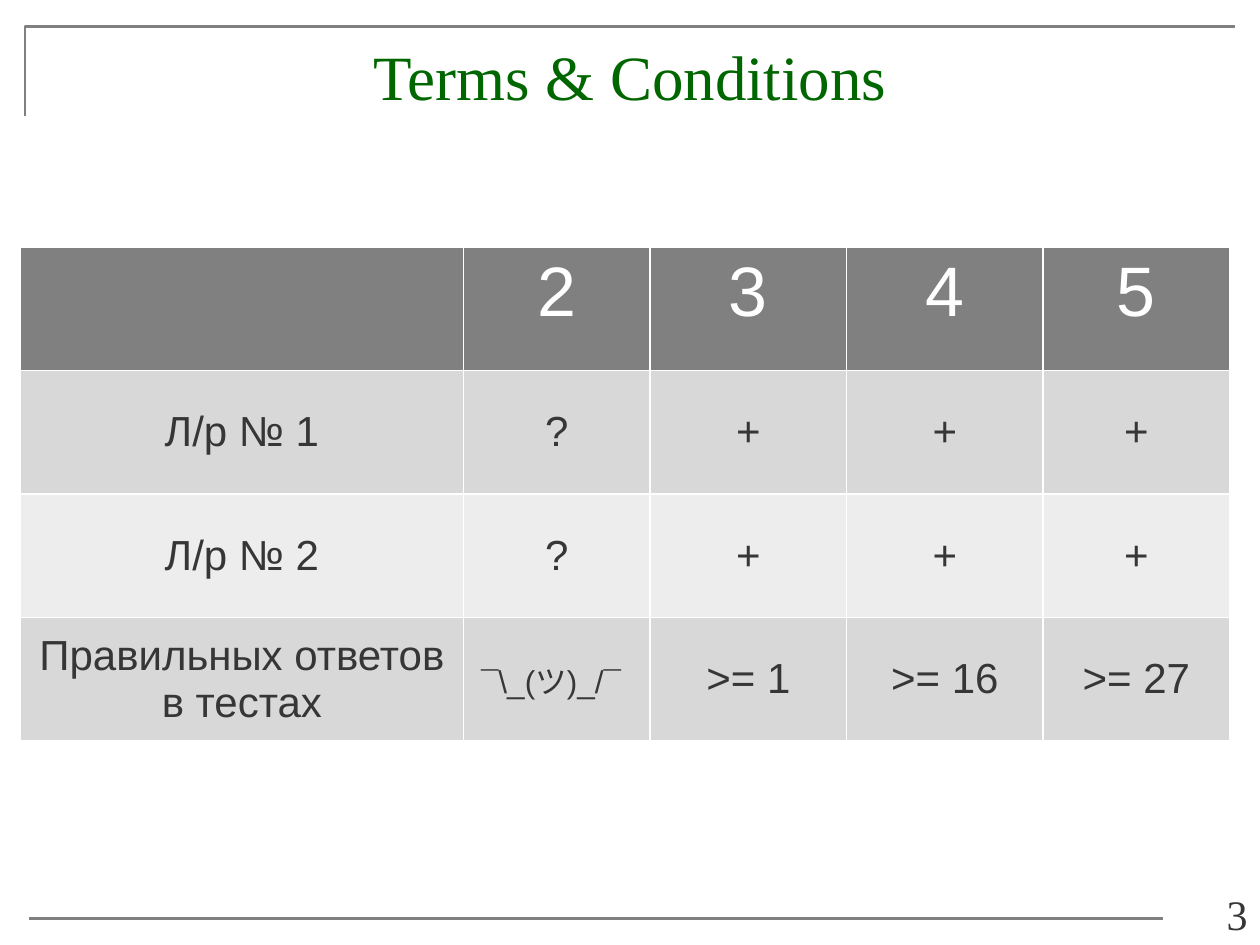
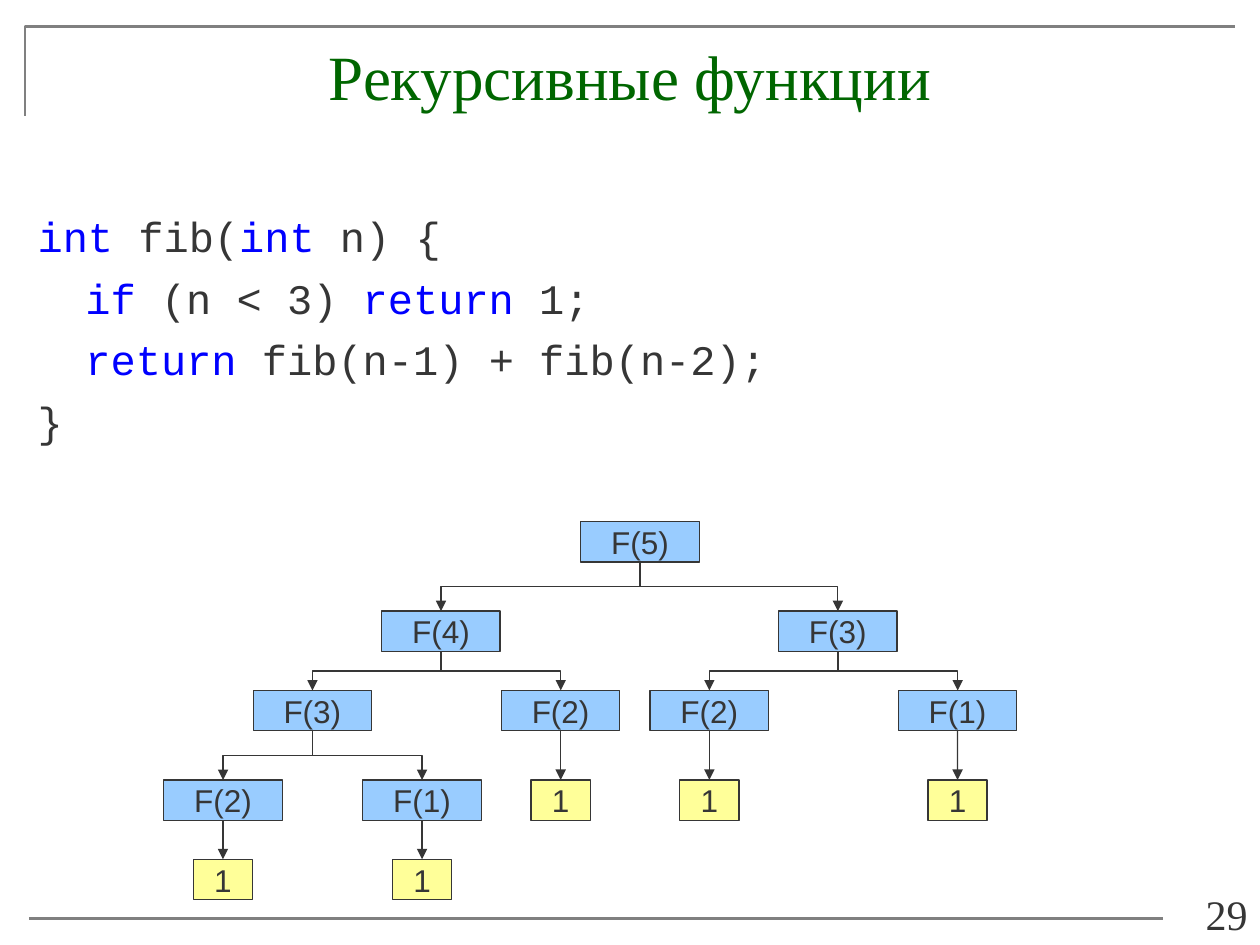
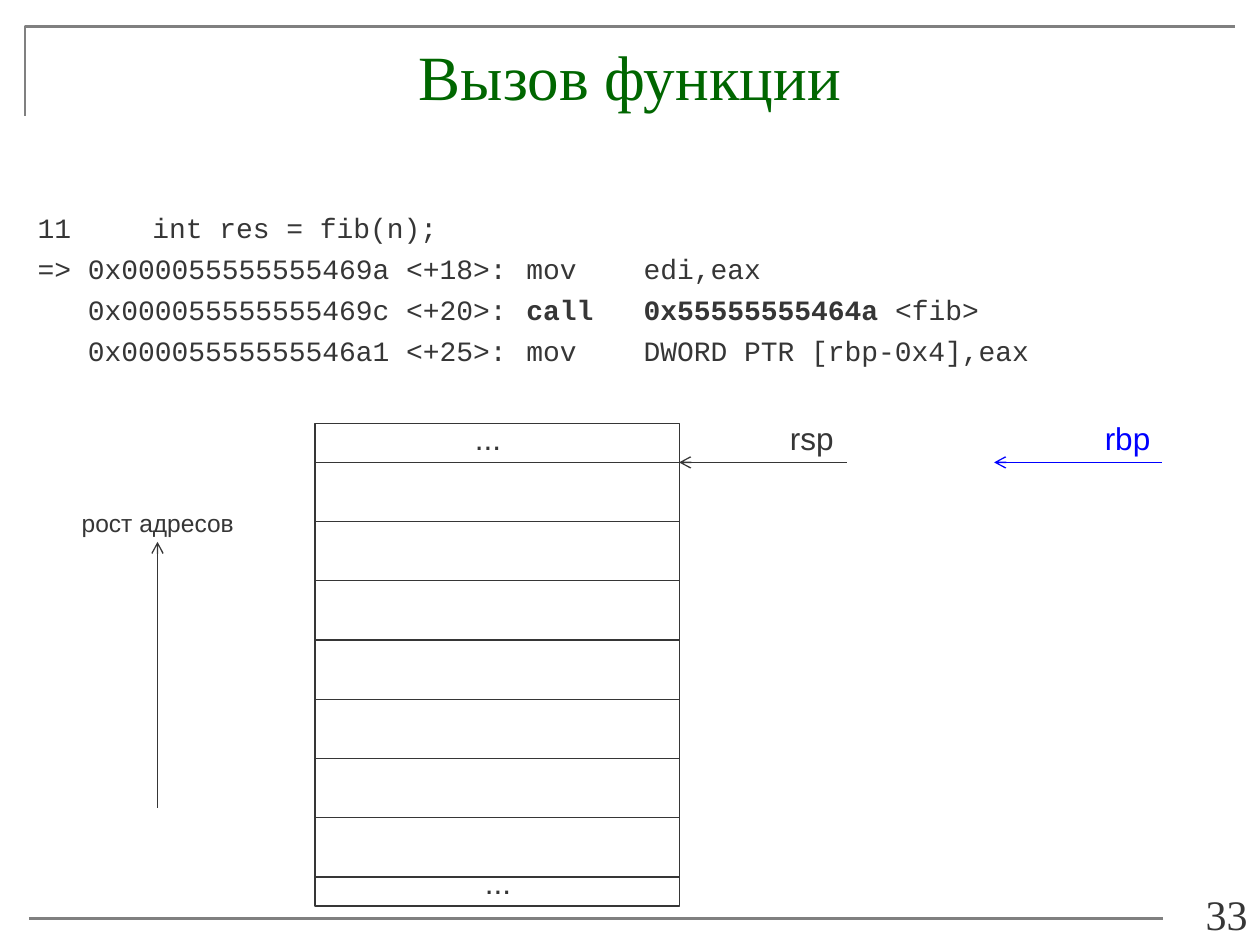
from lxml import etree
from pptx import Presentation
from pptx.dml.color import RGBColor
from pptx.enum.shapes import MSO_CONNECTOR, MSO_SHAPE
from pptx.enum.text import MSO_ANCHOR, PP_ALIGN
from pptx.oxml.ns import qn
from pptx.util import Inches, Pt

STRAIGHT, ELBOW = MSO_CONNECTOR.STRAIGHT, MSO_CONNECTOR.ELBOW
RECT, PROCESS = MSO_SHAPE.RECTANGLE, MSO_SHAPE.FLOWCHART_PROCESS
CENTER, RIGHT = PP_ALIGN.CENTER, PP_ALIGN.RIGHT
MIDDLE, BOTTOM = MSO_ANCHOR.MIDDLE, MSO_ANCHOR.BOTTOM
SANS, SERIF, MONO = "Arial", "Times New Roman", "Courier New"
C = {"ink": "363636", "title": "006600", "rule": "808080", "keyword": "0000FF",
     "white": "FFFFFF", "band_dark": "D8D8D8", "band_light": "EDEDED",
     "call": "99CCFF", "result": "FFFF99"}


def write(p, text, size, font=SANS, color="ink", bold=False):
    r = p.add_run()
    r.text = text
    r.font.size = Pt(size)
    r.font.name = font
    r.font.bold = bold
    r.font.color.rgb = RGBColor.from_string(C[color])


def add_line(s, kind, x1, y1, x2, y2, color="ink", width=0.75, head=None):
    ln = s.shapes.add_connector(kind, Inches(x1), Inches(y1), Inches(x2), Inches(y2))
    ln.line.color.rgb = RGBColor.from_string(C[color])
    ln.line.width = Pt(width)
    if head:
        etree.SubElement(ln.line._get_or_add_ln(), qn("a:tailEnd"), type=head)
    etree.SubElement(ln._element.spPr, qn("a:effectLst"))
    return ln


prs = Presentation()
prs.slide_width, prs.slide_height = Inches(10), Inches(7.5)

slides = []
for title, number in [("Terms & Conditions", "3"),
                      ("Рекурсивные функции", "29"),
                      ("Вызов функции", "33")]:
    s = prs.slides.add_slide(prs.slide_layouts[6])
    fb = s.shapes.build_freeform(Inches(0.2), Inches(0.92), scale=1.0)
    fb.add_line_segments([(Inches(0.2), Inches(0.21)), (Inches(9.8), Inches(0.21))], close=False)
    corner = fb.convert_to_shape()
    corner.fill.background()
    corner.line.color.rgb = RGBColor.from_string(C["rule"])
    corner.line.width = Pt(1.5)
    corner.shadow.inherit = False
    add_line(s, STRAIGHT, 0.23, 7.29, 9.23, 7.29, "rule", 1.5)

    tf = s.shapes.add_textbox(Inches(0.2), Inches(0.25), Inches(9.6), Inches(1.3)).text_frame
    tf.word_wrap = True
    tf.paragraphs[0].alignment = CENTER
    write(tf.paragraphs[0], title, 36, SERIF, "title")

    tf = s.shapes.add_textbox(Inches(7.67), Inches(7.06), Inches(2.33), Inches(0.44)).text_frame
    tf.word_wrap = True
    tf.vertical_anchor = BOTTOM
    tf.paragraphs[0].alignment = RIGHT
    write(tf.paragraphs[0], number, 24, SERIF)
    slides.append(s)

terms, recursion, call = slides

grades = [
    ["", "2", "3", "4", "5"],
    ["Л/р № 1", "?", "+", "+", "+"],
    ["Л/р № 2", "?", "+", "+", "+"],
    ["Правильных ответов в тестах", "¯\\_(ツ)_/¯", ">= 1", ">= 16", ">= 27"],
]
row_fills = ["rule", "band_dark", "band_light", "band_dark"]
table = terms.shapes.add_table(4, 5, Inches(0.16), Inches(1.96), Inches(9.6), Inches(3.92)).table
for col, width in zip(table.columns, [3.52, 1.48, 1.56, 1.56, 1.48]):
    col.width = Inches(width)
for i, row in enumerate(grades):
    table.rows[i].height = Inches(0.98)
    for j, text in enumerate(row):
        cell = table.cell(i, j)
        cell.fill.solid()
        cell.fill.fore_color.rgb = RGBColor.from_string(C[row_fills[i]])
        p = cell.text_frame.paragraphs[0]
        p.alignment = CENTER
        if i == 0:
            if text:
                write(p, text, 40, color="white")
            continue
        cell.vertical_anchor = MIDDLE
        if (i, j) == (3, 1):
            write(p, text, 18)
            write(p, " ", 24)
        else:
            write(p, text, 24)

fib_code = [
    [("int ", "keyword"), ("fib(", "ink"), ("int ", "keyword"), ("n) {", "ink")],
    [("\t", "ink"), ("if ", "keyword"), ("(n < 3) ", "ink"), ("return", "keyword"), (" 1;", "ink")],
    [("\t", "ink"), ("return ", "keyword"), ("fib(n-1) + fib(n-2);", "ink")],
    [("}", "ink")],
]
call_code = [
    [("11\t    int res = fib(n);", "ink")],
    [("=> 0x000055555555469a <+18>:\tmov    edi,eax", "ink")],
    [("   0x000055555555469c <+20>:\t", "ink"), ("call   0x55555555464a ", "bold"), ("<fib>", "ink")],
    [("   0x00005555555546a1 <+25>:\tmov    DWORD PTR [rbp-0x4],eax", "ink")],
]
for s, code, size, height in [(recursion, fib_code, 24, 5.51), (call, call_code, 16, 1.42)]:
    tf = s.shapes.add_textbox(Inches(0.2), Inches(1.62), Inches(9.6), Inches(height)).text_frame
    tf.word_wrap = True
    for i, code_line in enumerate(code):
        p = tf.add_paragraph() if i else tf.paragraphs[0]
        p.space_before = Pt(0.27 * size)
        pPr = p._p.get_or_add_pPr()
        pPr.set("marL", str(Inches(0.38)))
        pPr.set("indent", str(Inches(-0.38)))
        for text, style in code_line:
            bold = style == "bold"
            write(p, text, size, MONO, "ink" if bold else style, bold)

levels = [4.14, 4.85, 5.48, 6.19, 6.82]
tree = [
    ("F(5)", 5.08, 0, None),
    ("F(4)", 3.5, 1, 0),
    ("F(3)", 6.65, 1, 0),
    ("F(3)", 2.48, 2, 1),
    ("F(2)", 4.45, 2, 1),
    ("F(2)", 5.63, 2, 2),
    ("F(1)", 7.6, 2, 2),
    ("F(2)", 1.77, 3, 3),
    ("F(1)", 3.35, 3, 3),
    ("1", 4.45, 3, 4),
    ("1", 5.63, 3, 5),
    ("1", 7.6, 3, 6),
    ("1", 1.77, 4, 7),
    ("1", 3.35, 4, 8),
]
box_h = 0.32
nodes = []
for label, x, level, parent in tree:
    leaf = label == "1"
    w = 0.47 if leaf else 0.94
    sp = recursion.shapes.add_shape(RECT, Inches(x - w / 2), Inches(levels[level]),
                                    Inches(w), Inches(box_h))
    sp.shadow.inherit = False
    sp.fill.solid()
    sp.fill.fore_color.rgb = RGBColor.from_string(C["result" if leaf else "call"])
    sp.line.color.rgb = RGBColor.from_string(C["ink"])
    sp.line.width = Pt(0.75)
    tf = sp.text_frame
    tf.word_wrap = False
    tf.vertical_anchor = MIDDLE
    tf.paragraphs[0].alignment = CENTER
    write(tf.paragraphs[0], label, 18)
    nodes.append(sp)

for child, (label, x, level, parent) in zip(nodes, tree):
    if parent is None:
        continue
    px = tree[parent][1]
    y1, y2 = levels[level - 1] + box_h, levels[level]
    ln = add_line(recursion, STRAIGHT if px == x else ELBOW, px, y1, x, y2, head="triangle")
    ln.begin_connect(nodes[parent], 2)
    ln.end_connect(child, 0)
    if px != x:
        run, drop = abs(x - px), y2 - y1
        ln.left, ln.top = Inches((px + x - drop) / 2), Inches((y1 + y2 - run) / 2)
        ln.width, ln.height = Inches(drop), Inches(run)
        xfrm = ln._element.spPr.find(qn("a:xfrm"))
        xfrm.set("rot", "16200000" if x > px else "5400000")
        xfrm.set("flipH", "1" if x > px else "0")

stack = [(3.36, 3.83)] + [(3.67 + 0.47 * i, 0.47) for i in range(7)]
for top, height in stack:
    sp = call.shapes.add_shape(PROCESS, Inches(2.5), Inches(top), Inches(2.89), Inches(height))
    sp.shadow.inherit = False
    sp.fill.solid()
    sp.fill.fore_color.rgb = RGBColor.from_string(C["white"])
    sp.line.color.rgb = RGBColor.from_string(C["ink"])
    sp.line.width = Pt(0.75)

for text, x, y, w, h, size, color in [
    ("...", 3.67, 3.28, 0.41, 0.4, 18, "ink"),
    ("...", 3.75, 6.8, 0.41, 0.4, 18, "ink"),
    ("rsp", 6.17, 3.28, 0.55, 0.4, 18, "ink"),
    ("rbp", 8.67, 3.28, 0.57, 0.4, 18, "keyword"),
    ("рост адресов", 0.55, 3.98, 1.42, 0.34, 14, "ink"),
]:
    tf = call.shapes.add_textbox(Inches(x), Inches(y), Inches(w), Inches(h)).text_frame
    tf.word_wrap = False
    write(tf.paragraphs[0], text, size, color=color)

for x1, y1, x2, y2, color in [
    (6.72, 3.67, 5.39, 3.67, "ink"),
    (9.22, 3.67, 7.89, 3.67, "keyword"),
    (1.25, 6.41, 1.25, 4.3, "ink"),
]:
    add_line(call, STRAIGHT, x1, y1, x2, y2, color, head="arrow")

prs.save("out.pptx")
